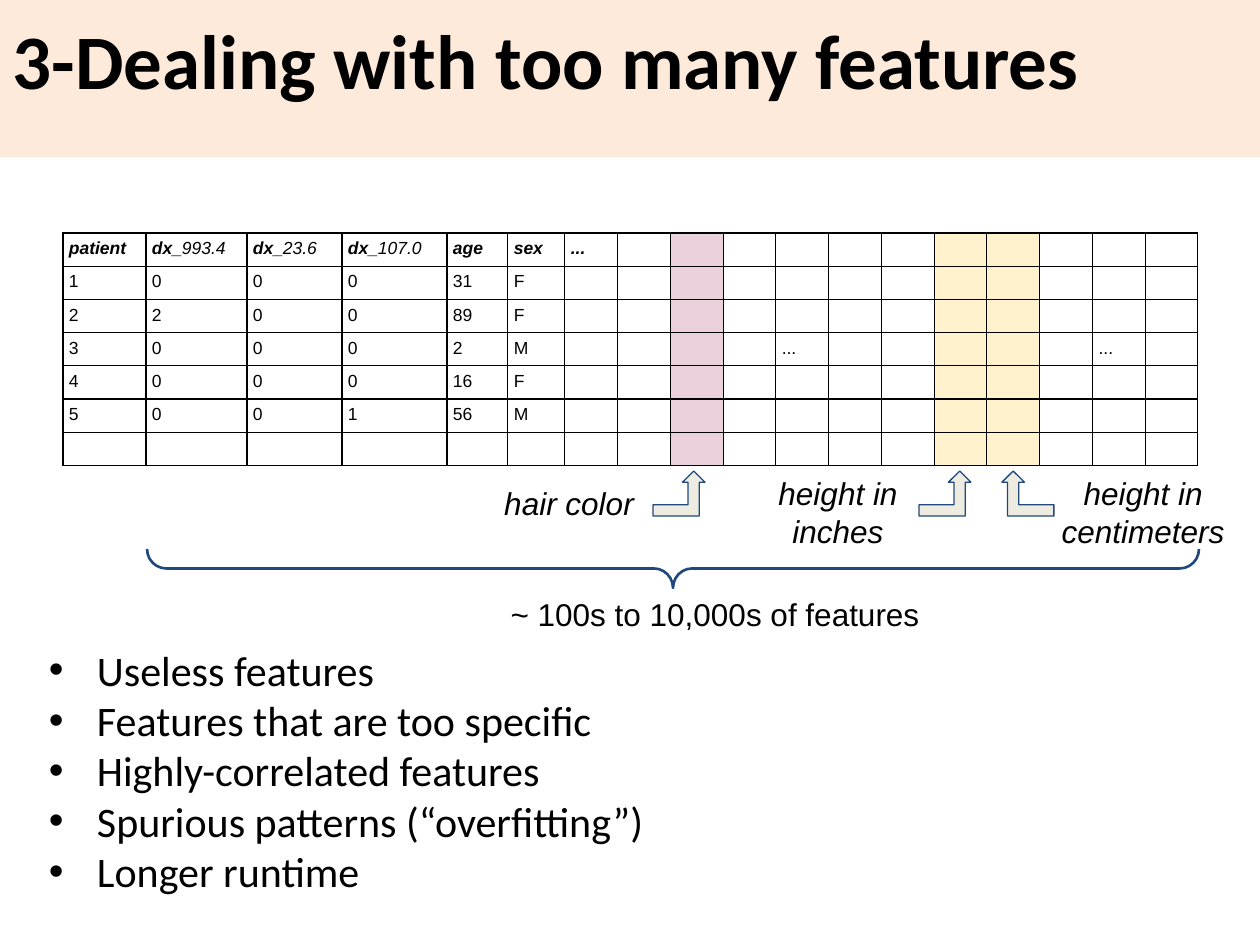
from dataclasses import dataclass
from lxml import etree
from pptx import Presentation
from pptx.dml.color import RGBColor
from pptx.enum.shapes import MSO_SHAPE
from pptx.enum.text import MSO_ANCHOR, PP_ALIGN
from pptx.oxml.ns import qn
from pptx.util import Emu, Pt

RECTANGLE = MSO_SHAPE.RECTANGLE
BENT_ARROW = MSO_SHAPE.BENT_UP_ARROW
BRACE = MSO_SHAPE.RIGHT_BRACE
TOP = MSO_ANCHOR.TOP
LEFT, CENTER = PP_ALIGN.LEFT, PP_ALIGN.CENTER


@dataclass(frozen=True)
class Theme:
    ink: str = "000000"
    paper: str = "FFFFFF"
    banner: str = "FDEADA"
    useless: str = "EAD1DC"
    correlated: str = "FFF2CC"
    arrow: str = "EEECE1"
    outline: str = "1F497D"
    heading_font: str = "Calibri"
    label_font: str = "Arial"
    title: int = 44
    bullet: int = 24
    label: int = 18
    cell: int = 10


THEME = Theme()
HEADER = ["patient", "dx_993.4", "dx_23.6", "dx_107.0", "age", "sex", "..."]
PATIENTS = [
    ["1", "0", "0", "0", "31", "F"],
    ["2", "2", "0", "0", "89", "F"],
    ["3", "0", "0", "0", "2", "M"],
    ["4", "0", "0", "0", "16", "F"],
    ["5", "0", "0", "1", "56", "M"],
]
COLUMN_WIDTHS = [83, 101, 95, 105, 61, 57] + [53, 53, 53, 52] * 3
ROW_COUNT = 7
COLUMN_FILLS = {8: THEME.useless, 13: THEME.correlated, 14: THEME.correlated}
GAPS = {(3, 10): "...", (3, 16): "..."}
BULLETS = [
    "Useless features",
    "Features that are too specific",
    "Highly-correlated features",
    "Spurious patterns (“overfitting”)",
    "Longer runtime",
]


def px(length):
    return Emu(round(length * 914400 / 126))


def color(value):
    return RGBColor.from_string(value)


def add_span(para, text, font, size, bold=False, italic=False):
    span = para.add_run()
    span.text = text
    span.font.name = font
    span.font.size = Pt(size)
    span.font.bold = bold
    span.font.italic = italic
    span.font.color.rgb = color(THEME.ink)


def set_frame(frame):
    frame.word_wrap = True
    frame.vertical_anchor = TOP
    frame.margin_left = frame.margin_right = px(13)
    frame.margin_top = frame.margin_bottom = px(13)


def add_preset(page, kind, box, fill=None, line=None, width=0.75):
    shape = page.shapes.add_shape(kind, *map(px, box))
    shape.shadow.inherit = False
    if fill:
        shape.fill.solid()
        shape.fill.fore_color.rgb = color(fill)
    else:
        shape.fill.background()
    if line:
        shape.line.color.rgb = color(line)
        shape.line.width = Pt(width)
    else:
        shape.line.fill.background()
    return shape


def add_banner(page, box, text):
    banner = add_preset(page, RECTANGLE, box, THEME.banner)
    set_frame(banner.text_frame)
    para = banner.text_frame.paragraphs[0]
    para.alignment = LEFT
    add_span(para, text, THEME.heading_font, THEME.title, bold=True)


def add_label(page, box, text, italic=False):
    label = page.shapes.add_textbox(*map(px, box))
    set_frame(label.text_frame)
    para = label.text_frame.paragraphs[0]
    para.alignment = CENTER
    add_span(para, text, THEME.label_font, THEME.label, italic=italic)


def add_borders(cell):
    properties = cell._tc.get_or_add_tcPr()
    for side in ("a:lnL", "a:lnR", "a:lnT", "a:lnB"):
        line = etree.SubElement(properties, qn(side), w=str(Pt(0.75)))
        fill = etree.SubElement(line, qn("a:solidFill"))
        etree.SubElement(fill, qn("a:srgbClr"), val=THEME.ink)


def fill_cell(cell, text, fill, header):
    add_borders(cell)
    cell.fill.solid()
    cell.fill.fore_color.rgb = color(fill)
    cell.margin_left = cell.margin_right = px(6)
    cell.margin_top = cell.margin_bottom = px(6)
    para = cell.text_frame.paragraphs[0]
    prefix, mark, code = text.partition("_")
    if text:
        add_span(para, prefix + mark, THEME.label_font, THEME.cell, header, header)
    else:
        ending = etree.SubElement(para._p, qn("a:endParaRPr"))
        ending.set("sz", str(THEME.cell * 100))
    if code:
        add_span(para, code, THEME.label_font, THEME.cell, italic=True)


def add_patient_table(page, box):
    left, top, width, height = box
    frame = page.shapes.add_table(ROW_COUNT, len(COLUMN_WIDTHS), *map(px, box))
    table = frame.table
    table.first_row = table.horz_banding = False
    for column, column_width in zip(table.columns, COLUMN_WIDTHS):
        column.width = px(column_width)
    texts = dict(GAPS)
    for row_index, values in enumerate([HEADER] + PATIENTS):
        for column_index, value in enumerate(values):
            texts[row_index, column_index] = value
    for row_index, row in enumerate(table.rows):
        row.height = px(height / ROW_COUNT)
        for column_index, cell in enumerate(row.cells):
            text = texts.get((row_index, column_index), "")
            fill = COLUMN_FILLS.get(column_index, THEME.paper)
            fill_cell(cell, text, fill, row_index == 0)


def add_callouts(page, box):
    left, top, width, height = box
    for x, y, label_height, text in [
        (0, 10, 55, "hair color"),
        (269, 0, 95, "height in inches"),
        (574, 0, 95, "height in centimeters"),
    ]:
        add_label(page, (left + x, top + y, 210, label_height), text, italic=True)
    for x, flipped in [(189, False), (455, False), (538, True)]:
        arrow = add_preset(page, BENT_ARROW, (left + x, top + 10, 52, 45),
                           THEME.arrow, THEME.outline)
        if flipped:
            arrow._element.spPr.get_or_add_xfrm().set("flipH", "1")


def add_feature_brace(page, box, text):
    left, top, width, height = box
    middle_x, middle_y = left + width / 2, top + height / 2
    upright = (middle_x - height / 2, middle_y - width / 2, height, width)
    brace = add_preset(page, BRACE, upright, line=THEME.outline, width=1.5)
    brace.rotation = 90
    brace.adjustments[0] = 0.49
    add_label(page, (left + 312, top + 33, 512, 95), text)


def add_bullets(page, box, lines):
    frame = page.shapes.add_textbox(*map(px, box)).text_frame
    set_frame(frame)
    for index, line in enumerate(lines):
        para = frame.paragraphs[0] if index == 0 else frame.add_paragraph()
        properties = para._p.get_or_add_pPr()
        properties.set("marL", str(px(58)))
        properties.set("indent", str(px(-48)))
        etree.SubElement(properties, qn("a:buFont"), typeface=THEME.label_font)
        etree.SubElement(properties, qn("a:buChar"), char="•")
        add_span(para, line, THEME.heading_font, THEME.bullet)


def main():
    deck = Presentation()
    deck.slide_width, deck.slide_height = px(1260), px(945)
    page = deck.slides.add_slide(deck.slide_layouts[6])
    add_banner(page, (0, 0, 1260, 157), "3-Dealing with too many features")
    add_patient_table(page, (63, 233, sum(COLUMN_WIDTHS), 225))
    add_callouts(page, (464, 461, 784, 95))
    add_feature_brace(page, (147, 549, 1052, 39), "~ 100s to 10,000s of features")
    add_bullets(page, (26, 631, 1028, 271), BULLETS)
    deck.save("out.pptx")


if __name__ == "__main__":
    main()
